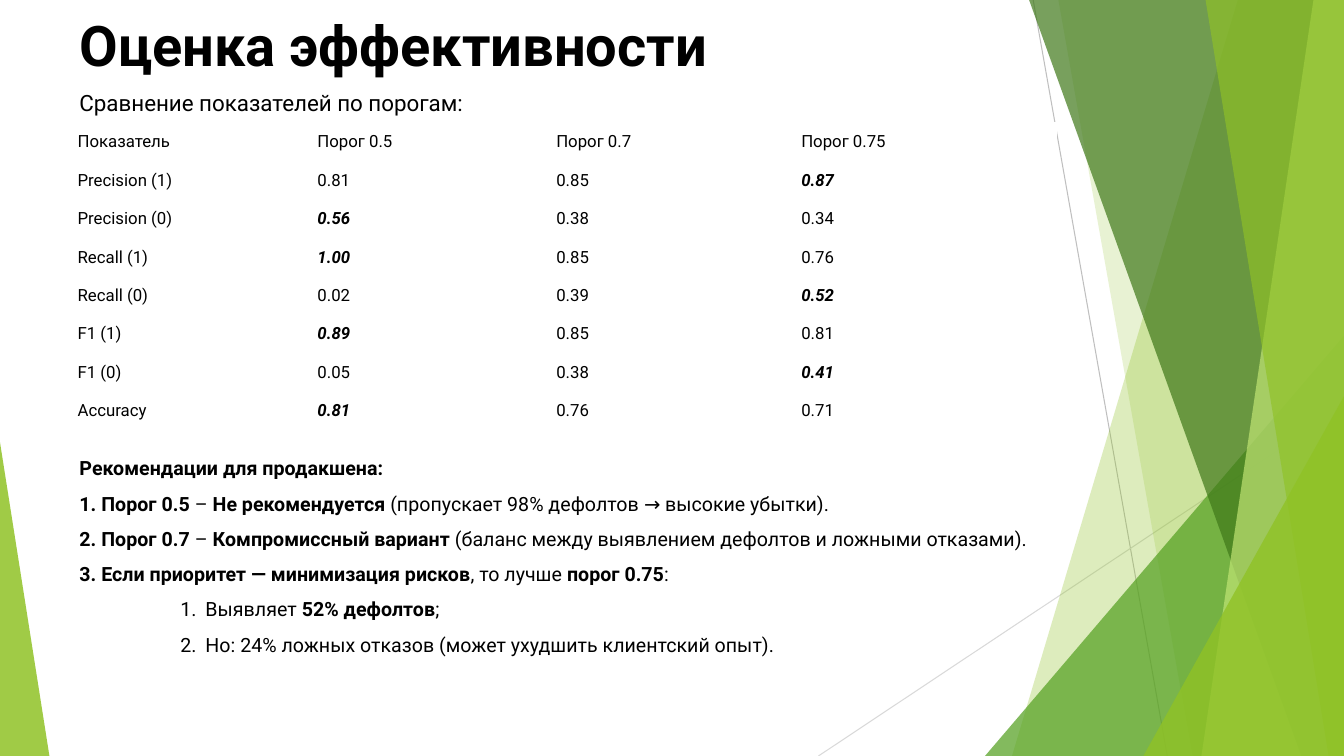
import dataclasses

import pptx
import pptx.dml.color
import pptx.enum.shapes
import pptx.enum.text
import pptx.oxml.ns
import pptx.util
from lxml import etree

Pt = pptx.util.Pt
qn = pptx.oxml.ns.qn


@dataclasses.dataclass(frozen=True)
class Theme:
    font: str = "Roboto"
    ink: str = "000000"
    paper: str = "FFFFFF"
    lime: str = "90C226"
    leaf: str = "54A021"
    moss: str = "3F7819"
    pale: str = "C0E474"
    grey: str = "BFBFBF"
    mist: str = "D9D9D9"
    title: int = 40
    lead: int = 16
    note: int = 14
    cell: int = 12


THEME = Theme()
LEFT = 49.7
WIDTH, HEIGHT = 960, 540

ROWS = """Показатель|Порог 0.5|Порог 0.7|Порог 0.75
Precision (1)|0.81|0.85|*0.87
Precision (0)|*0.56|0.38|0.34
Recall (1)|*1.00|0.85|0.76
Recall (0)|0.02|0.39|*0.52
F1 (1)|*0.89|0.85|0.81
F1 (0)|0.05|0.38|*0.41
Accuracy|*0.81|0.76|0.71""".split("\n")

# Asterisks enclose bold words; a leading # marks a numbered sub-item.
NOTES = """*Рекомендации для продакшена:*
*1. Порог 0.5* – *Не рекомендуется* (пропускает 98% дефолтов → высокие убытки).
*2. Порог 0.7* – *Компромиссный вариант* (баланс между выявлением дефолтов и ложными отказами).
*3. Если приоритет — минимизация рисков*, то лучше *порог 0.75*:
#Выявляет *52% дефолтов*;
#Но: 24% ложных отказов (может ухудшить клиентский опыт).""".split("\n")


def rgb(hue):
    return pptx.dml.color.RGBColor.from_string(hue)


def style(run, size, bold=False, slant=False):
    font = run.font
    font.name, font.size = THEME.font, Pt(size)
    font.bold, font.italic = bold, slant
    font.color.rgb = rgb(THEME.ink)


def tint(shape, hue, alpha):
    """Fill with a see-through colour; alpha is opacity in percent."""
    shape.shadow.inherit = False
    shape.line.fill.background()
    shape.fill.solid()
    shape.fill.fore_color.rgb = rgb(hue)
    clr = shape.fill._xPr.find(".//" + qn("a:srgbClr"))
    etree.SubElement(clr, qn("a:alpha"), val=str(alpha * 1000))


def draw_line(slide, ends, hue):
    kind = pptx.enum.shapes.MSO_CONNECTOR.STRAIGHT
    line = slide.shapes.add_connector(kind, *map(Pt, ends))
    line.line.color.rgb = rgb(hue)
    line.line.width = Pt(0.75)
    etree.SubElement(line._element.spPr, qn("a:effectLst"))


def draw_band(slide, box, head, foot, hue, alpha):
    """Fill from a slanted left edge to the right side of the box."""
    x, y, w, h = box
    pen = slide.shapes.build_freeform(Pt(x + head), Pt(y))
    pen.add_line_segments([(Pt(x + w), Pt(y)), (Pt(x + w), Pt(y + h)),
                           (Pt(x + foot), Pt(y + h))])
    tint(pen.convert_to_shape(), hue, alpha)


def draw_wedge(slide, box, apex, hue, alpha):
    kind = pptx.enum.shapes.MSO_SHAPE.ISOSCELES_TRIANGLE
    shape = slide.shapes.add_shape(kind, *map(Pt, box))
    shape.adjustments[0] = apex
    tint(shape, hue, alpha)


def draw_facets(slide, box):
    x, y, w, h = box

    def corner(wide, tall):
        return x + w - wide, y + h - tall, wide, tall

    draw_line(slide, (x + 738, y, x + 833.8, y + h), THEME.grey)
    draw_line(slide, (x + w, y + 290.2, x + 584.6, y + h), THEME.mist)
    draw_band(slide, box, 884.2, 722.9, THEME.lime, 30)
    draw_band(slide, box, 756, 851.8, THEME.lime, 20)
    draw_wedge(slide, corner(256.4, 300.2), 1, THEME.leaf, 72)
    draw_band(slide, box, 735.1, 929.5, THEME.moss, 70)
    draw_band(slide, box, 938.2, 858.2, THEME.pale, 70)
    draw_band(slide, box, 861.1, 949, THEME.lime, 65)
    draw_wedge(slide, corner(143.3, 257), 1, THEME.lime, 80)
    draw_wedge(slide, (x, y + h - 224, 35.3, 224), 0, THEME.lime, 85)


def add_frame(slide, box):
    frame = slide.shapes.add_textbox(*map(Pt, box)).text_frame
    frame.word_wrap = True
    return frame


def draw_head(slide, box, text, size, bold=False):
    frame = add_frame(slide, box)
    frame.text = text
    style(frame.paragraphs[0].runs[0], size, bold)
    return frame


def draw_table(slide, box):
    shape = slide.shapes.add_table(len(ROWS), 4, *map(Pt, box))
    table = shape.table
    table.first_row = table.horz_banding = False
    for col, wide in zip(table.columns, (170.6, 170.6, 175, 188.6)):
        col.width = Pt(wide)
    for r, row in enumerate(ROWS):
        table.rows[r].height = Pt(box[3] / len(ROWS))
        for c, text in enumerate(row.split("|")):
            cell = table.cell(r, c)
            cell.fill.solid()
            cell.fill.fore_color.rgb = rgb(THEME.paper)
            cell.vertical_anchor = pptx.enum.text.MSO_ANCHOR.MIDDLE
            cell.margin_left = Pt(6.5 if c else 5.8)
            cell.margin_right = cell.margin_top = cell.margin_bottom = Pt(6.5)
            cell.text = text.lstrip("*")
            best = text.startswith("*")
            style(cell.text_frame.paragraphs[0].runs[0], THEME.cell, best, best)


def number(para):
    """Make the paragraph an indented item of a numbered list."""
    para.level = 2
    props = para._p.get_or_add_pPr()
    props.set("marL", str(Pt(90)))
    props.set("indent", str(Pt(-18)))
    etree.SubElement(props, qn("a:buFont"), typeface=THEME.font)
    etree.SubElement(props, qn("a:buAutoNum"), type="arabicPeriod")


def draw_notes(slide, box):
    frame = add_frame(slide, box)
    frame.auto_size = pptx.enum.text.MSO_AUTO_SIZE.SHAPE_TO_FIT_TEXT
    for i, note in enumerate(NOTES):
        para = frame.add_paragraph() if i else frame.paragraphs[0]
        para.alignment = pptx.enum.text.PP_ALIGN.JUSTIFY
        para.line_spacing = 1.5
        if note.startswith("#"):
            number(para)
        for k, part in enumerate(note.lstrip("#").split("*")):
            if part:
                run = para.add_run()
                run.text = part
                style(run, THEME.note, k % 2 == 1)


def main():
    deck = pptx.Presentation()
    deck.slide_width, deck.slide_height = Pt(WIDTH), Pt(HEIGHT)
    slide = deck.slides.add_slide(deck.slide_layouts[6])
    draw_facets(slide, (0, 0, WIDTH, HEIGHT))
    lead = draw_head(slide, (LEFT, 59.8, 676.8, 27.4),
                     "Сравнение показателей по порогам:", THEME.lead)
    lead.paragraphs[0].space_before = Pt(10)
    title = draw_head(slide, (LEFT, 4.3, 705.6, 55.4),
                      "Оценка эффективности", THEME.title, True)
    title.auto_size = pptx.enum.text.MSO_AUTO_SIZE.SHAPE_TO_FIT_TEXT
    title.paragraphs[0].alignment = pptx.enum.text.PP_ALIGN.JUSTIFY
    draw_notes(slide, (LEFT, 313.9, 691.9, 159.8))
    draw_table(slide, (LEFT, 87.8, 704.8, 217.4))
    deck.save("out.pptx")


if __name__ == "__main__":
    main()
